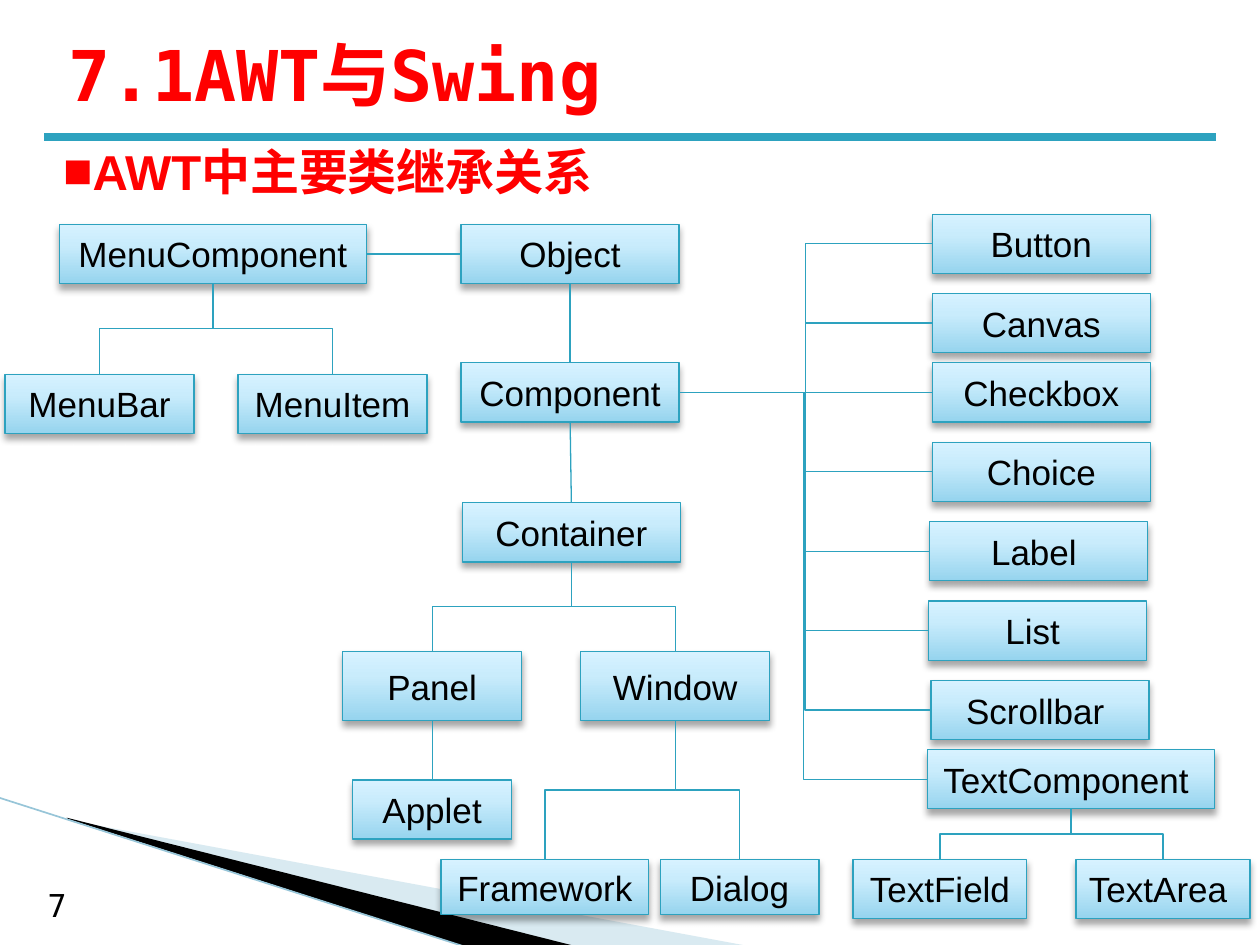
import pptx
import pptx.util
import pptx.dml.color
import pptx.enum.shapes
import pptx.enum.text
import pptx.oxml
import pptx.oxml.ns

Inches, Pt = pptx.util.Inches, pptx.util.Pt
RGBColor = pptx.dml.color.RGBColor
qn = pptx.oxml.ns.qn
Connector = pptx.enum.shapes.MSO_CONNECTOR
Align = pptx.enum.text.PP_ALIGN
Anchor = pptx.enum.text.MSO_ANCHOR

RED = RGBColor(0xFF, 0x00, 0x00)
BLACK = RGBColor(0x00, 0x00, 0x00)
TEAL = RGBColor(0x2D, 0xA2, 0xBF)
PALE_TEAL = RGBColor(0xA0, 0xCB, 0xDC)
EDGE_TEAL = RGBColor(0x97, 0xC5, 0xD8)
STOPS = [(0, RGBColor(0x96, 0xD4, 0xEE)), (65, RGBColor(0xC9, 0xEC, 0xFC)),
         (100, RGBColor(0xD7, 0xF2, 0xFF))]
NS = 'xmlns:a="http://schemas.openxmlformats.org/drawingml/2006/main"'
GRADIENT = (f'<a:gradFill {NS} rotWithShape="1"><a:gsLst>'
            + "".join(f'<a:gs pos="{pos * 1000}"><a:srgbClr val="{color}"/></a:gs>'
                      for pos, color in STOPS)
            + '</a:gsLst><a:lin ang="16200000" scaled="0"/></a:gradFill>')
SHADOW = (f'<a:effectLst {NS}><a:outerShdw blurRad="{Pt(4)}" dist="{Pt(3)}" dir="5400000" '
          'rotWithShape="0"><a:srgbClr val="000000"><a:alpha val="35000"/></a:srgbClr>'
          '</a:outerShdw></a:effectLst>')

deck = pptx.Presentation()
deck.slide_width, deck.slide_height = Inches(10), Inches(7.5)
page = deck.slides.add_slide(deck.slide_layouts[1])


def write(box, text, size, font, color, bold=False, align=Align.LEFT, anchor=Anchor.MIDDLE):
    frame = box.text_frame
    frame.word_wrap = True
    frame.auto_size = pptx.enum.text.MSO_AUTO_SIZE.NONE
    frame.vertical_anchor = anchor
    para = frame.paragraphs[0]
    para.alignment = align
    para.space_before = Pt(0)
    span = para.add_run()
    span.text = text
    for name, value in {"size": Pt(size), "name": font, "bold": bold}.items():
        setattr(span.font, name, value)
    span.font.color.rgb = color
    return para


def draw_line(kind, start, end, color, width):
    line = page.shapes.add_connector(kind, *map(Inches, start + end))
    line.line.color.rgb = color
    line.line.width = Pt(width)
    line._element.spPr.append(pptx.oxml.parse_xml(f"<a:effectLst {NS}/>"))
    return line


# Corner decoration and header rule
wedges = [([(0.55, 6.51), (5.95, 7.51), (4.56, 7.51), (0.55, 6.5)], PALE_TEAL, 40),
          ([(0.53, 6.49), (4.57, 7.51), (3.72, 7.52), (0.54, 6.5)], BLACK, 100)]
for points, color, opacity in wedges:
    corners = [(Inches(x), Inches(y)) for x, y in points]
    builder = page.shapes.build_freeform(*corners[0], scale=1.0)
    builder.add_line_segments(corners[1:], close=True)
    wedge = builder.convert_to_shape()
    wedge.shadow.inherit = False
    wedge.fill.solid()
    wedge.fill.fore_color.rgb = color
    wedge.line.fill.background()
    tint = wedge._element.spPr.find(qn("a:solidFill")).find(qn("a:srgbClr"))
    tint.append(pptx.oxml.parse_xml(f'<a:alpha {NS} val="{opacity * 1000}"/>'))
draw_line(Connector.STRAIGHT, (-0.01, 6.33), (3.71, 7.52), EDGE_TEAL, 0.95)
draw_line(Connector.STRAIGHT, (0.35, 1.09), (9.65, 1.09), TEAL, 4.5)

# Page number, title and heading
number = page.shapes.add_textbox(*map(Inches, (0.28, 6.98, 0.55, 0.4)))
write(number, "7", 18, "DejaVu Sans Mono", BLACK, anchor=Anchor.TOP)

title, heading = page.shapes.title, page.placeholders[1]
for box, place in [(title, (0.44, 0.16, 9, 0.85)), (heading, (0.4, 1.07, 9.29, 0.57))]:
    box.left, box.top, box.width, box.height = map(Inches, place)
write(title, "7.1AWT与Swing", 40, "DejaVu Sans Mono", RED, bold=True)
para = write(heading, "AWT中主要类继承关系", 28, "Arial", RED, bold=True, anchor=Anchor.TOP)
props = para._p.get_or_add_pPr()
props.set("marL", "0")
props.set("indent", "0")
props.append(pptx.oxml.parse_xml(f'<a:buFont {NS} typeface="Arial"/>'))
props.append(pptx.oxml.parse_xml(f'<a:buChar {NS} char="■"/>'))

# Class boxes: label, left, top, width, height
classes = [
    ("Object", 3.66, 1.78, 1.73, 0.47), ("Component", 3.66, 2.88, 1.73, 0.47),
    ("Container", 3.67, 3.99, 1.73, 0.47),
    ("Window", 4.61, 5.17, 1.5, 0.55), ("Panel", 2.72, 5.17, 1.42, 0.55),
    ("Framework", 3.5, 6.82, 1.65, 0.44), ("Dialog", 5.24, 6.82, 1.26, 0.44),
    ("Applet", 2.8, 6.19, 1.26, 0.47),
    ("MenuComponent", 0.47, 1.78, 2.44, 0.47),
    ("MenuBar", 0.04, 2.97, 1.5, 0.47), ("MenuItem", 1.89, 2.97, 1.5, 0.47),
    ("Button", 7.4, 1.7, 1.73, 0.47), ("Canvas", 7.4, 2.33, 1.73, 0.47),
    ("Checkbox", 7.4, 2.88, 1.73, 0.47), ("Choice", 7.4, 3.51, 1.73, 0.47),
    ("Label ", 7.38, 4.14, 1.73, 0.47), ("List ", 7.37, 4.77, 1.73, 0.47),
    ("Scrollbar ", 7.39, 5.4, 1.73, 0.47), ("TextComponent ", 7.36, 5.95, 2.28, 0.47),
    ("TextArea ", 8.54, 6.82, 1.38, 0.47), ("TextField ", 6.77, 6.82, 1.38, 0.47),
]
boxes = {}
for label, *place in classes:
    box = page.shapes.add_shape(pptx.enum.shapes.MSO_SHAPE.RECTANGLE, *map(Inches, place))
    box.line.color.rgb = TEAL
    box.line.width = Pt(0.75)
    box._element.spPr.find(qn("a:prstGeom")).addnext(pptx.oxml.parse_xml(GRADIENT))
    box._element.spPr.append(pptx.oxml.parse_xml(SHADOW))
    write(box, label, 20, "Arial", BLACK, align=Align.CENTER)
    boxes[label.strip()] = box

# Inheritance links, by connection site: 0 top, 1 left, 2 bottom, 3 right
TOP, LEFT, BOTTOM, RIGHT = range(4)
families = [
    ("Object", BOTTOM, TOP, ["Component"]),
    ("Object", LEFT, RIGHT, ["MenuComponent"]),
    ("Component", BOTTOM, TOP, ["Container"]),
    ("Component", RIGHT, LEFT, ["Button", "Canvas", "Checkbox", "Choice", "Label", "List",
                                "Scrollbar", "TextComponent"]),
    ("Container", BOTTOM, TOP, ["Panel", "Window"]),
    ("Window", BOTTOM, TOP, ["Dialog", "Framework"]),
    ("Panel", BOTTOM, TOP, ["Applet"]),
    ("MenuComponent", BOTTOM, TOP, ["MenuBar", "MenuItem"]),
    ("TextComponent", BOTTOM, TOP, ["TextField", "TextArea"]),
]
for parent, start_site, end_site, children in families:
    for child in children:
        link = draw_line(Connector.STRAIGHT, (0, 0), (1, 1), TEAL, 0.75)
        link.begin_connect(boxes[parent], start_site)
        link.end_connect(boxes[child], end_site)
        across, down = link.end_x - link.begin_x, link.end_y - link.begin_y
        if min(abs(across), abs(down)) < Inches(0.02):
            continue
        link._element.spPr.find(qn("a:prstGeom")).set("prst", "bentConnector3")
        if start_site == BOTTOM:
            # A downward elbow is a sideways one turned about its centre
            middle_x, middle_y = link.begin_x + across // 2, link.begin_y + down // 2
            link.width, link.height = down, abs(across)
            link.left, link.top = middle_x - down // 2, middle_y - abs(across) // 2
            frame = link._element.spPr.find(qn("a:xfrm"))
            frame.set("rot", str((90 if across < 0 else 270) * 60000))
            frame.set("flipH", "0" if across < 0 else "1")

deck.save("out.pptx")
